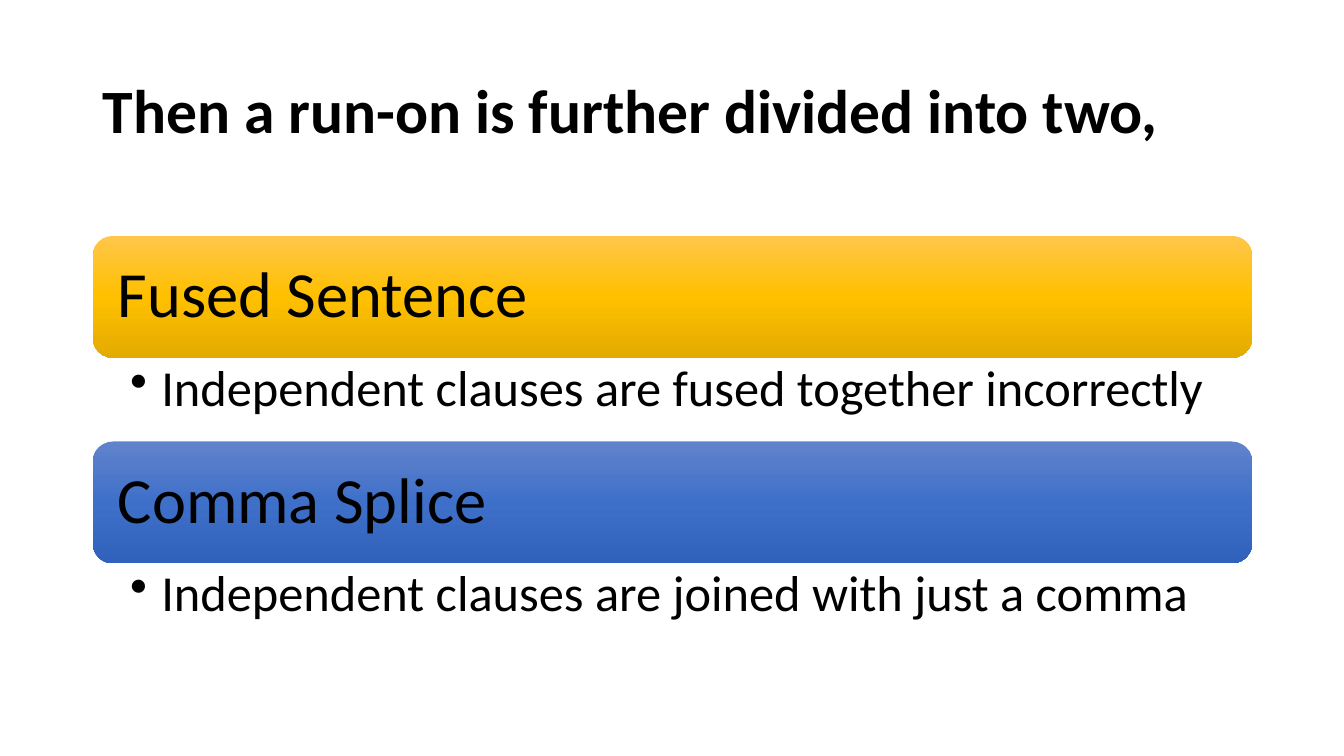
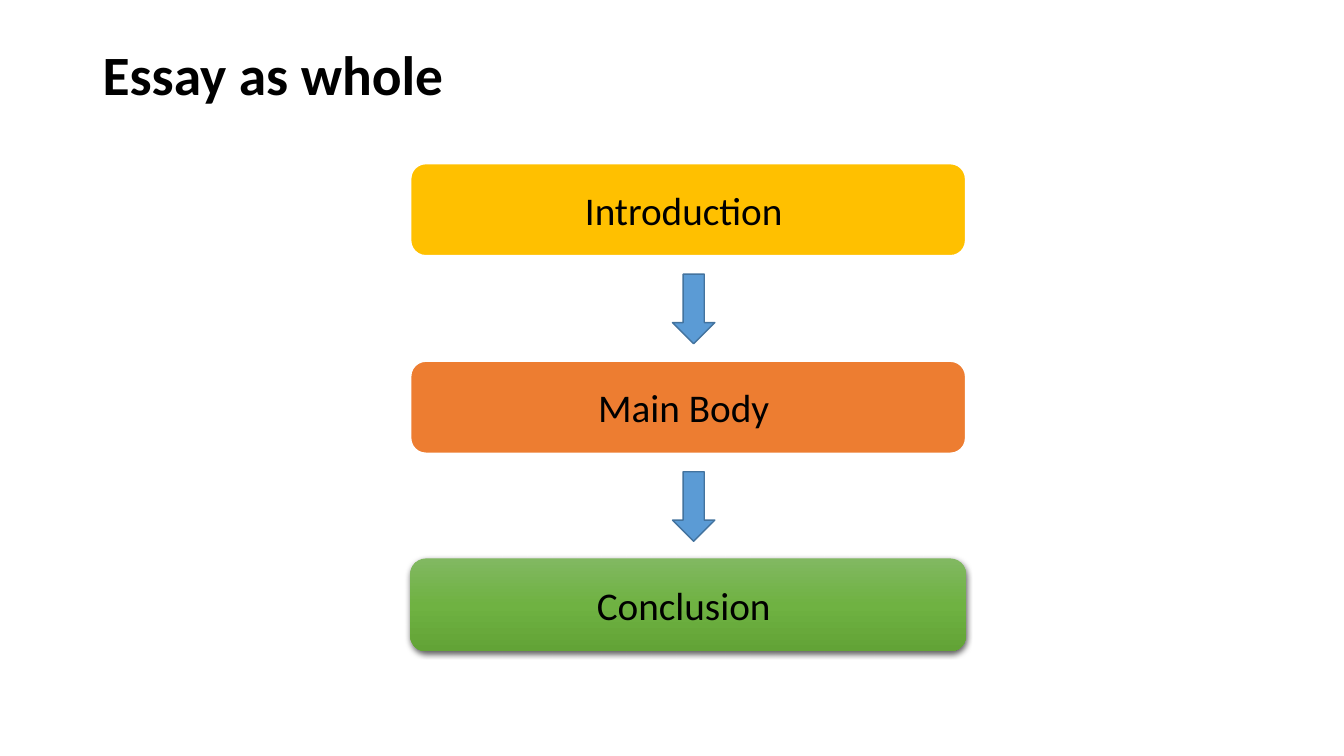
from copy import deepcopy

from lxml import etree
from pptx import Presentation
from pptx import util as u
from pptx.dml.color import RGBColor
from pptx.enum import shapes, text
from pptx.oxml import parse_xml
from pptx.oxml.ns import nsdecls, qn

BLACK, WHITE = "000000", "FFFFFF"
YELLOW, ORANGE = "FFC000", "ED7D31"
ARROW_FILL, ARROW_LINE = "5B9BD5", "43739E"
YELLOW_FADE = ("FFC64B", "FFC000", "E3AB00")
BLUE_FADE = ("6183CB", "3E70CA", "3062BB")
GREEN_FADE = ("81B861", "6FB242", "62A336")
SHADOW = (
    f'<a:outerShdw {nsdecls("a")} blurRad="57150" dist="19050" dir="5400000" '
    'algn="ctr" rotWithShape="0"><a:srgbClr val="000000">'
    '<a:alpha val="63000"/></a:srgbClr></a:outerShdw>'
)


def color(code):
    return RGBColor.from_string(code)


def write(shape, words, size, bold=False, align=text.PP_ALIGN.LEFT,
          anchor=text.MSO_ANCHOR.MIDDLE, inset=(0.1, 0.05, 0.1, 0.05),
          spacing=0.9, bullet_indent=None):
    frame = shape.text_frame
    frame.word_wrap = True
    frame.vertical_anchor = anchor
    (frame.margin_left, frame.margin_top,
     frame.margin_right, frame.margin_bottom) = map(u.Inches, inset)
    para = frame.paragraphs[0]
    para.alignment = align
    para.line_spacing = spacing
    if bullet_indent:
        props = para._p.get_or_add_pPr()
        props.set("marL", str(u.Inches(bullet_indent)))
        props.set("indent", str(-u.Inches(bullet_indent)))
        etree.SubElement(props, qn("a:buChar")).set("char", "•")
    span = para.add_run()
    span.text = words
    span.font.name = "Calibri"
    span.font.size = u.Pt(size)
    span.font.bold = bold
    span.font.color.rgb = color(BLACK)


class SlideBuilder:
    """Hold the shared style and the slide being drawn."""

    left, width = 0.92, 11.5

    def __init__(self, deck):
        self.deck = deck
        self.page = None

    def start(self, title, height, size):
        self.page = self.deck.slides.add_slide(self.deck.slide_layouts[6])
        self.label(title, 0.4, height, size=size, bold=True)

    def label(self, words, top, height, **style):
        box = self.page.shapes.add_textbox(
            *map(u.Inches, (self.left, top, self.width, height)))
        write(box, words, **style)

    def block(self, kind, place, fill, line=None, line_width=1, shadow=False):
        shape = self.page.shapes.add_shape(kind, *map(u.Inches, place))
        if isinstance(fill, str):
            shape.fill.solid()
            shape.fill.fore_color.rgb = color(fill)
        else:
            self.fade(shape, fill)
        if line:
            shape.line.color.rgb = color(line)
            shape.line.width = u.Pt(line_width)
        else:
            shape.line.fill.background()
        shape.shadow.inherit = False
        if shadow:
            effects = shape._element.spPr.find(qn("a:effectLst"))
            effects.append(parse_xml(SHADOW))
        return shape

    def fade(self, shape, codes):
        shape.fill.gradient()
        shape.fill.gradient_angle = 270
        stops = shape._element.spPr.find(qn("a:gradFill")).find(qn("a:gsLst"))
        stops.append(deepcopy(stops[-1]))
        for index, (stop, code) in enumerate(zip(shape.fill.gradient_stops, codes)):
            stop.position = index / 2
            stop.color.rgb = color(code)

    def bar(self, words, place, fill, size, style=None, **look):
        shape = self.block(shapes.MSO_SHAPE.ROUNDED_RECTANGLE, place, fill, **look)
        write(shape, words, size, **(style or {}))

    def arrow(self, top):
        self.block(shapes.MSO_SHAPE.DOWN_ARROW, (6.67, top, 0.42, 0.69),
                   ARROW_FILL, line=ARROW_LINE)


def run_on_slide(builder):
    builder.start("Then a run-on is further divided into two,", 1.45, 44)
    kinds = (
        ("Fused Sentence", "Independent clauses are fused together incorrectly", YELLOW_FADE),
        ("Comma Splice", "Independent clauses are joined with just a comma", BLUE_FADE),
    )
    for row, (name, detail, fill) in enumerate(kinds):
        top = 2.34 + 2.04 * row
        builder.bar(name, (builder.left, top, builder.width, 1.21), fill, 46,
                    style={"inset": (0.19,) * 4})
        builder.label(detail, top + 1.2, 0.83, size=36,
                      anchor=text.MSO_ANCHOR.TOP,
                      inset=(0.37, 0.06, 0.36, 0.06), bullet_indent=0.31)


def essay_slide(builder):
    builder.start("Essay as whole", 0.73, 39.6)
    outlined = {"line": WHITE, "line_width": 1.5}
    parts = (
        ("Introduction ", YELLOW, outlined),
        ("Main Body ", ORANGE, outlined),
        ("Conclusion ", GREEN_FADE, {"shadow": True}),
    )
    centered = {"align": text.PP_ALIGN.CENTER, "spacing": 1.0}
    for row, (name, fill, look) in enumerate(parts):
        top = 1.62 + 1.96 * row
        builder.bar(name, (4.07, top, 5.51, 0.92), fill, 28, style=centered, **look)
        if row < len(parts) - 1:
            builder.arrow(top + 1.1)


def main():
    deck = Presentation()
    deck.slide_width, deck.slide_height = u.Inches(13.33), u.Inches(7.5)
    builder = SlideBuilder(deck)
    run_on_slide(builder)
    essay_slide(builder)
    deck.save("out.pptx")


if __name__ == "__main__":
    main()
